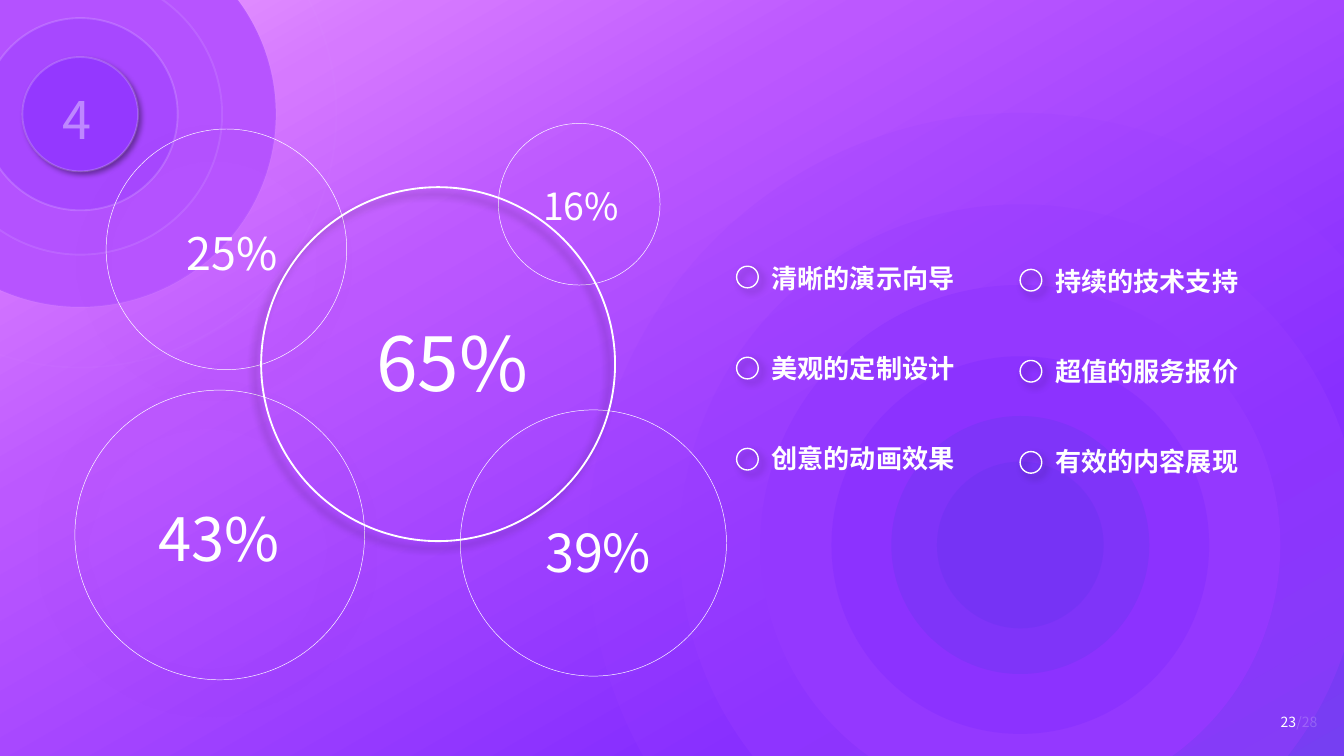
import pptx
import pptx.util
import pptx.dml.color
import pptx.enum.shapes
import pptx.enum.text
import pptx.oxml
import pptx.oxml.ns
from dataclasses import dataclass
from lxml import etree

Pt = pptx.util.Pt
qn = pptx.oxml.ns.qn
KIND = pptx.enum.shapes.MSO_SHAPE
ALIGN = pptx.enum.text.PP_ALIGN
FIT = pptx.enum.text.MSO_AUTO_SIZE.SHAPE_TO_FIT_TEXT


@dataclass(frozen=True)
class Theme:
    white: str = "FFFFFF"
    black: str = "000000"
    ramp: tuple = ((0, "ECA3FF"), (16, "D679FF"), (33, "BC58FF"),
                   (77, "832BFF"), (100, "6D3FEF"))
    angle: int = 60
    sans: str = "Noto Sans CJK SC"
    digit: str = "Noto Sans CJK JP"
    badge: float = 28
    item: float = 14
    page: float = 7.5
    # Shadows: opacity, blur, distance, direction
    low: tuple = (40, 3, 2, 45)
    dot: tuple = (40, 4, 3, 45)
    ring: tuple = (40, 4, 5, 135)
    soft: tuple = (35, 20, 10, 135)


THEME = Theme()


# Drawing helpers
def sub(node, tag, **attrs):
    return etree.SubElement(node, qn(tag), {k: str(v) for k, v in attrs.items()})


def paint(fill, color, alpha=100):
    fill.solid()
    fill.fore_color.rgb = pptx.dml.color.RGBColor.from_string(color)
    if alpha < 100:
        node = fill._xPr.find(qn("a:solidFill"))[0]
        sub(node, "a:alpha", val=alpha * 1000)


def shade(shape, cast):
    alpha, blur, dist, turn = cast
    node = sub(shape._element.spPr.find(qn("a:effectLst")), "a:outerShdw",
               blurRad=Pt(blur), dist=Pt(dist), dir=turn * 60000,
               algn="ctr", rotWithShape=0)
    color = sub(node, "a:srgbClr", val=THEME.black)
    sub(color, "a:alpha", val=alpha * 1000)


def disc(slide, mid, wide, high=None, fill=None, line=None, cast=None):
    """Ellipse about mid; fill is (color, alpha), line is (width, alpha)."""
    high = high or wide
    shape = slide.shapes.add_shape(
        KIND.OVAL, Pt(mid[0] - wide / 2), Pt(mid[1] - high / 2), Pt(wide), Pt(high))
    shape.shadow.inherit = False
    if fill:
        paint(shape.fill, *fill)
    else:
        shape.fill.background()
    if line:
        shape.line.width = Pt(line[0])
        paint(shape.line.fill, THEME.white, line[1])
    else:
        shape.line.fill.background()
    if cast:
        shade(shape, cast)


def label(slide, box, parts, style, align=ALIGN.LEFT):
    """Text box of one line; parts holds (text, alpha) pairs."""
    frame = slide.shapes.add_textbox(*map(Pt, box)).text_frame
    for key, value in {"word_wrap": True, "auto_size": FIT}.items():
        setattr(frame, key, value)
    para = frame.paragraphs[0]
    para.alignment = align
    for text, alpha in parts:
        run = para.add_run()
        run.text = text
        for key, value in style.items():
            setattr(run.font, key, value)
        paint(run.font.fill, THEME.white, alpha)
        sub(run.font._element, "a:ea", typeface=style["name"])


def center(box):
    return box[0] + box[2] / 2, box[1] + box[3] / 2


# Gradient backdrop
def backdrop(slide, box):
    shape = slide.shapes.add_shape(KIND.RECTANGLE, *map(Pt, box))
    shape.shadow.inherit = False
    shape.line.fill.background()
    shape.fill.gradient()
    grad = shape._element.spPr.find(qn("a:gradFill"))
    for child in list(grad):
        grad.remove(child)
    stops = sub(grad, "a:gsLst")
    for pos, color in THEME.ramp:
        sub(sub(stops, "a:gs", pos=pos * 1000), "a:srgbClr", val=color)
    sub(grad, "a:lin", ang=THEME.angle * 60000, scaled=0)


# Chapter badge with its rings
def badge(slide, box):
    mid = center(box)
    rings = ((209.5, 206.6, "B754FF", 4, None), (152, 150.5, "B452FF", 9, None),
             (104.4, 103, "A748FF", 16, None), (62, 61.2, "9438FF", 18, THEME.low))
    for wide, high, color, alpha, cast in rings:
        disc(slide, mid, wide, high, (color, 100), (1, alpha), cast)
    disc(slide, mid, box[2], box[3], line=(1, 2))
    label(slide, (mid[0] - 16.4, mid[1] - 18, 19.4, 41), [("4", 40)],
          {"name": THEME.sans, "size": Pt(THEME.badge)})


# Ripple in the lower right
def ripple(slide, box):
    rings = ((463, "9C3FFF", 20), (365, "993CFF", 40), (278.6, "9438FF", 100),
             (202.3, "872EFF", 60), (138.2, "7736F6", 60), (89.3, "6933F1", 40))
    for size, color, alpha in rings:
        disc(slide, center(box), size, fill=(color, alpha))


# Two columns of points
def points(slide, box):
    left, top, wide, _ = box
    cols = (("清晰的演示向导", "美观的定制设计", "创意的动画效果"),
            ("持续的技术支持", "超值的服务报价", "有效的内容展现"))
    style = {"name": THEME.sans, "size": Pt(THEME.item), "bold": True}
    size, pitch, drop = 11.6, 151.9, 1.7
    for c, items in enumerate(cols):
        x, y = left + c * pitch, top + c * drop
        for r, text in enumerate(items):
            disc(slide, (x + size / 2, y + 11.6 + r * 48.8), size,
                 line=(0.75, 100), cast=THEME.dot)
            label(slide, (x + size, y + r * 48.2, wide - pitch - size, 24.5),
                  [(text, 100)], style, ALIGN.JUSTIFY)


# Percentage bubbles
def bubbles(slide, box):
    left, top = box[:2]
    # Text, type size, centre, diameter, text width, text shift, line, shadow
    rows = (
        ("43%", 32, (77.7, 220.6), 155.2, 142.6, (-0.3, 1.5), 0.25, THEME.soft),
        ("16%", 20, (270.3, 43.4), 86.6, 77, (1.1, 0.8), 0.25, None),
        ("39%", 28, (277.9, 224.9), 142.6, 98, (2.5, 4.6), 0.25, None),
        ("25%", 24, (81.3, 67.6), 128.9, 87.8, (3.2, 1.8), 0.25, THEME.soft),
        ("65%", 40, (194.7, 129.1), 189.6, 205.2, (7.6, -1.1), 1, THEME.ring),
    )
    for text, size, mid, span, wide, move, line, cast in rows:
        x, y = left + mid[0], top + mid[1]
        disc(slide, (x, y), span, line=(line, 100), cast=cast)
        high = size * 1.2 + 7.2
        label(slide, (x + move[0] - wide / 2, y + move[1] - high / 2, wide, high),
              [(text, 100)], {"name": THEME.digit, "size": Pt(size)}, ALIGN.CENTER)


# Page number
def pager(slide, box):
    label(slide, box, [("23", 100), ("/28", 20)],
          {"name": THEME.sans, "size": Pt(THEME.page)})


def main():
    deck = pptx.Presentation()
    for key, value in {"slide_width": Pt(720), "slide_height": Pt(405)}.items():
        setattr(deck, key, value)
    slide = deck.slides.add_slide(deck.slide_layouts[6])
    backdrop(slide, (0, 0, 720, 405))
    badge(slide, (-94.2, -74.5, 274.4, 271.4))
    ripple(slide, (315.1, 60.5, 463, 463))
    points(slide, (394.6, 136.8, 320.5, 122.6))
    bubbles(slide, (40, 66, 350, 299))
    pager(slide, (679, 378.7, 38.9, 16.6))
    deck.save("out.pptx")


if __name__ == "__main__":
    main()
